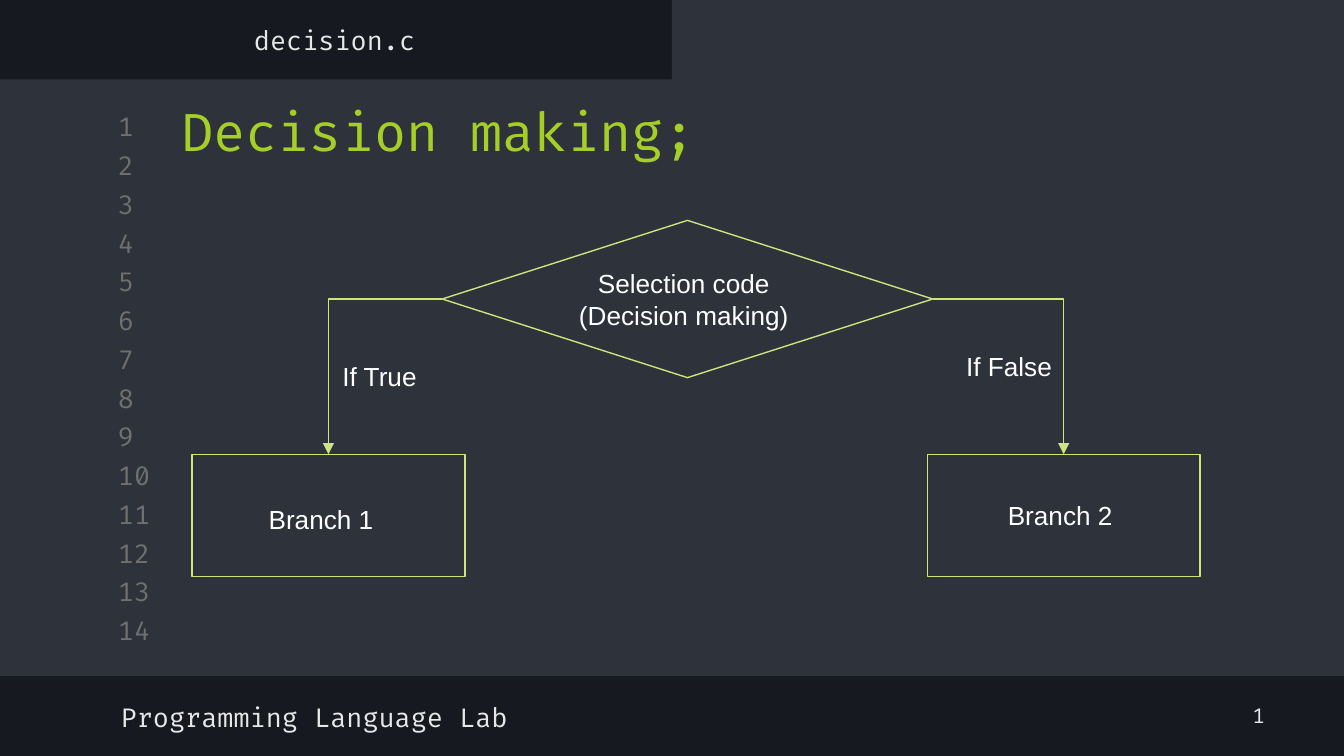
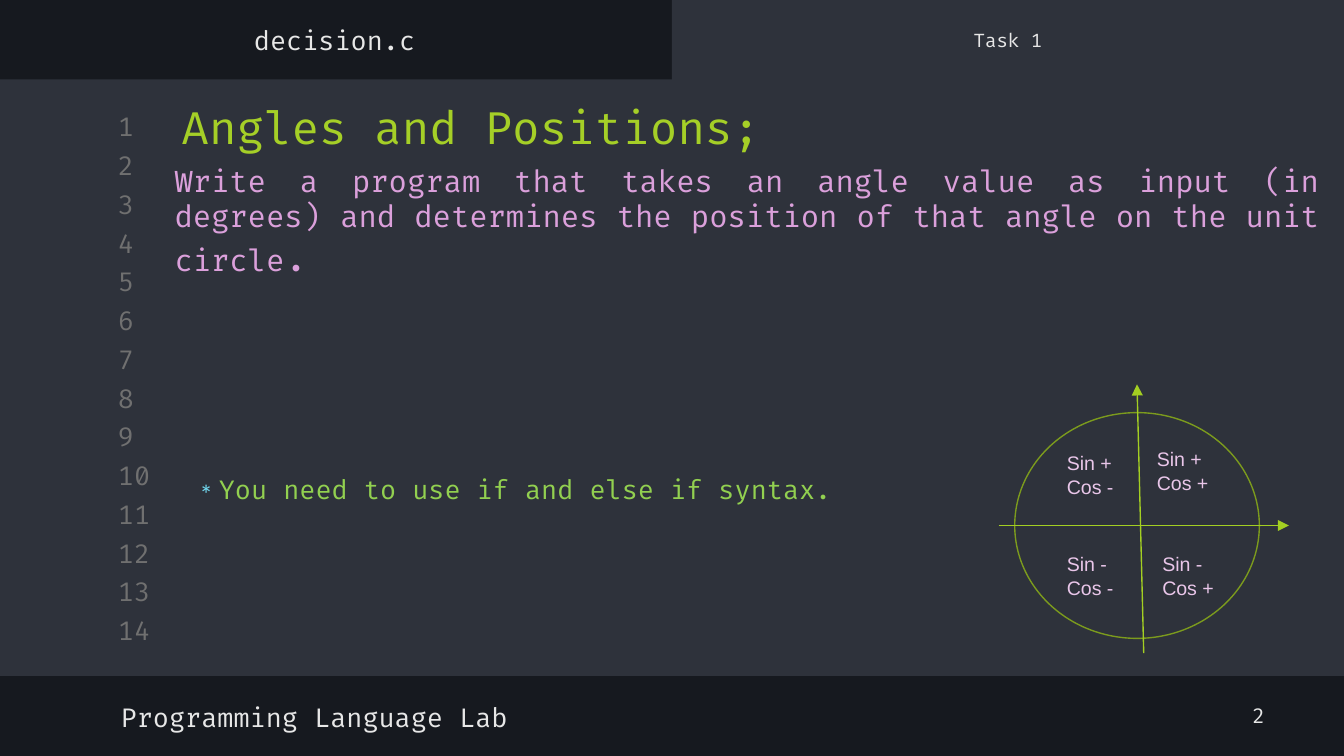
import pptx
import pptx.util
import pptx.dml.color
import pptx.enum.shapes
import pptx.enum.text
import pptx.oxml.ns
from lxml import etree

Inches, Pt = pptx.util.Inches, pptx.util.Pt
RGBColor = pptx.dml.color.RGBColor
SHAPE = pptx.enum.shapes.MSO_SHAPE
CONNECTOR = pptx.enum.shapes.MSO_CONNECTOR
ALIGN = pptx.enum.text.PP_ALIGN
ANCHOR = pptx.enum.text.MSO_ANCHOR
qn = pptx.oxml.ns.qn

# Content
FILE_NAME = "decision.c"
COURSE = "Programming Language Lab"
LINE_COUNT = 14
TITLES = ("Decision making;", "Angles and Positions;")
CONDITION = ("Selection code ", "(Decision making) ")
BRANCHES = (  # text, left of box, label place, connection site on the diamond
    ("Branch 1", 1.43, (1.9, 3.7), 1),
    ("Branch 2", 6.9, (7.4, 3.67), 3),
)
OUTCOMES = (("If True", 2.45, 2.63), ("If False", 7.09, 2.56))
TASK = "Task 1"
PROMPT = (
    ("Write a program that takes an angle value as input (in degrees) and "
     "determines the position of that angle on the unit circle", 16),
    (".", 20),
)
HINT = "You need to use if and else if syntax."
QUADRANTS = (
    ("Sin +", "Cos -", 7.84, 3.31),
    ("Sin +", "Cos +", 8.51, 3.28),
    ("Sin -", "Cos -", 7.84, 4.06),
    ("Sin -", "Cos +", 8.55, 4.06),
)
AXES = (((8.51, 4.86), (8.46, 2.86)), ((7.43, 3.91), (9.59, 3.91)))

# Look
WIDTH = 10
HEIGHT = WIDTH * 9 / 16
MONO, SANS = "Fira Code", "Arial"
DARK = RGBColor(0x16, 0x19, 0x1F)
PANEL = RGBColor(0x2E, 0x32, 0x3B)
GREY = RGBColor(0x70, 0x70, 0x70)
PALE = RGBColor(0xE7, 0xE7, 0xE7)
WHITE = RGBColor(0xFF, 0xFF, 0xFF)
LIME = RGBColor(0xA5, 0xCF, 0x27)
LIGHT_LIME = RGBColor(0xCB, 0xE6, 0x7A)
AXIS_LIME = RGBColor(0xA3, 0xCF, 0x22)
DARK_LIME = RGBColor(0x7C, 0x9B, 0x1D)
GREEN = RGBColor(0x92, 0xD0, 0x50)
PINK = RGBColor(0xDB, 0xA0, 0xDB)
LIGHT_PINK = RGBColor(0xE9, 0xC6, 0xE9)
CYAN = RGBColor(0x72, 0xD9, 0xF0)


def write(frame, lines, size=14, color=PALE, font=MONO, align=ALIGN.LEFT,
          anchor=ANCHOR.MIDDLE, inset=0.1):
    """Fill a text frame; a line is a string or a tuple of (text, size) spans."""
    frame.word_wrap = True
    frame.auto_size = pptx.enum.text.MSO_AUTO_SIZE.NONE
    frame.vertical_anchor = anchor
    frame.margin_left = frame.margin_right = Inches(0.1)
    frame.margin_top = frame.margin_bottom = Inches(inset)
    for index, line in enumerate(lines):
        para = frame.add_paragraph() if index else frame.paragraphs[0]
        para.alignment = align
        for text, points in ((line, size),) if isinstance(line, str) else line:
            span = para.add_run()
            span.text = text
            span.font.size = Pt(points)
            span.font.name = font
            span.font.color.rgb = color


def add_text(page, lines, place, **style):
    box = page.shapes.add_textbox(*map(Inches, place))
    write(box.text_frame, lines, **style)
    return box


def add_label(page, lines, place, **style):
    style = {"font": SANS, "color": WHITE, "anchor": ANCHOR.TOP, "inset": 0.05} | style
    return add_text(page, lines, place, **style)


def add_block(page, kind, place, fill=None, line=None):
    block = page.shapes.add_shape(kind, *map(Inches, place))
    block.shadow.inherit = False
    if fill is None:
        block.fill.background()
    else:
        block.fill.solid()
        block.fill.fore_color.rgb = fill
    if line is None:
        block.line.fill.background()
    else:
        block.line.color.rgb = line
        block.line.width = Pt(0.75)
    return block


def add_arrow(page, kind, start, end, color):
    arrow = page.shapes.add_connector(kind, *map(Inches, (*start, *end)))
    arrow.line.color.rgb = color
    arrow.line.width = Pt(0.75)
    etree.SubElement(arrow.line._get_or_add_ln(), qn("a:tailEnd"), type="triangle")
    etree.SubElement(arrow._element.spPr, qn("a:effectLst"))
    return arrow


def add_page(deck, number, title_size):
    """Editor window with panels, line numbers, title, tab and footer."""
    page = deck.slides.add_slide(deck.slide_layouts[5])
    page.background.fill.solid()
    page.background.fill.fore_color.rgb = DARK
    add_block(page, SHAPE.RECTANGLE, (0, 0.59, WIDTH, 4.44), fill=PANEL)
    add_block(page, SHAPE.RECTANGLE, (WIDTH / 2, 0, WIDTH / 2, 0.65), fill=PANEL)
    for row in range(LINE_COUNT):
        add_text(page, [str(row + 1)], (0.78, 0.82 + row * 3.75 / 13, 0.47, 0.24),
                 color=GREY)

    title = page.shapes.title
    title.left, title.top, title.width, title.height = map(
        Inches, (1.25, 0.64, 7.97, 0.59))
    write(title.text_frame, [TITLES[number - 1]], size=title_size, color=LIME,
          anchor=ANCHOR.TOP)
    title._element.getparent().append(title._element)  # in front of the panels

    add_text(page, [FILE_NAME], (-0.01, 0.1, 5, 0.39), align=ALIGN.CENTER)
    add_text(page, [COURSE], (0.8, 5.14, 5.32, 0.39))
    add_text(page, [str(number)], (9.22, 5.13, 0.35, 0.39), size=11)
    return page


def build_decision(deck):
    page = add_page(deck, 1, 28)
    diamond = add_block(page, SHAPE.DIAMOND, (3.29, 1.64, 3.65, 1.17), line=LIGHT_LIME)
    write(diamond.text_frame, CONDITION, font=SANS, color=WHITE,
          align=ALIGN.CENTER, inset=0.05)

    # Branches with their elbow arrows
    for text, left, (label_left, label_top), site in BRANCHES:
        branch = add_block(page, SHAPE.RECTANGLE, (left, 3.38, 2.03, 0.91),
                           line=LIGHT_LIME)
        arrow = add_arrow(page, CONNECTOR.ELBOW, (5, 2.23), (left, 3.38), LIGHT_LIME)
        arrow.begin_connect(diamond, site)
        arrow.end_connect(branch, 0)
        arrow._element.spPr.find(qn("a:prstGeom")).set("prst", "bentConnector2")
        add_label(page, [text], (label_left, label_top, 1.02, 0.34))
    for text, left, top in OUTCOMES:
        add_label(page, [text], (left, top, 1.26, 0.34))


def build_angles(deck):
    page = add_page(deck, 2, 24)
    add_text(page, [TASK], (WIDTH / 2, 0.1, WIDTH / 2, 0.39), size=10,
             align=ALIGN.CENTER)
    add_text(page, [PROMPT], (1.2, 0.87, 8.72, 1.54), color=PINK,
             align=ALIGN.JUSTIFY)

    # Bulleted hint
    hint = add_text(page, [HINT], (1.34, 3.28, 5.81, 0.72), color=GREEN)
    layout = hint.text_frame.paragraphs[0]._p.get_or_add_pPr()
    layout.set("marL", str(Inches(0.19)))
    layout.set("indent", str(-Inches(0.13)))
    bullet_color = etree.SubElement(layout, qn("a:buClr"))
    etree.SubElement(bullet_color, qn("a:srgbClr"), val=str(CYAN))
    etree.SubElement(layout, qn("a:buSzPct"), val="60000")
    etree.SubElement(layout, qn("a:buFont"), typeface=MONO)
    etree.SubElement(layout, qn("a:buChar"), char="∗")

    # Unit circle
    add_block(page, SHAPE.OVAL, (7.55, 3.07, 1.82, 1.68), line=DARK_LIME)
    for start, end in AXES:
        add_arrow(page, CONNECTOR.STRAIGHT, start, end, AXIS_LIME)
    for sine, cosine, left, top in QUADRANTS:
        add_label(page, [sine, cosine], (left, top, 0.62, 0.47), size=10.5,
                  color=LIGHT_PINK)


def main():
    deck = pptx.Presentation()
    deck.slide_width, deck.slide_height = Inches(WIDTH), Inches(HEIGHT)
    build_decision(deck)
    build_angles(deck)
    deck.save("out.pptx")


if __name__ == "__main__":
    main()
